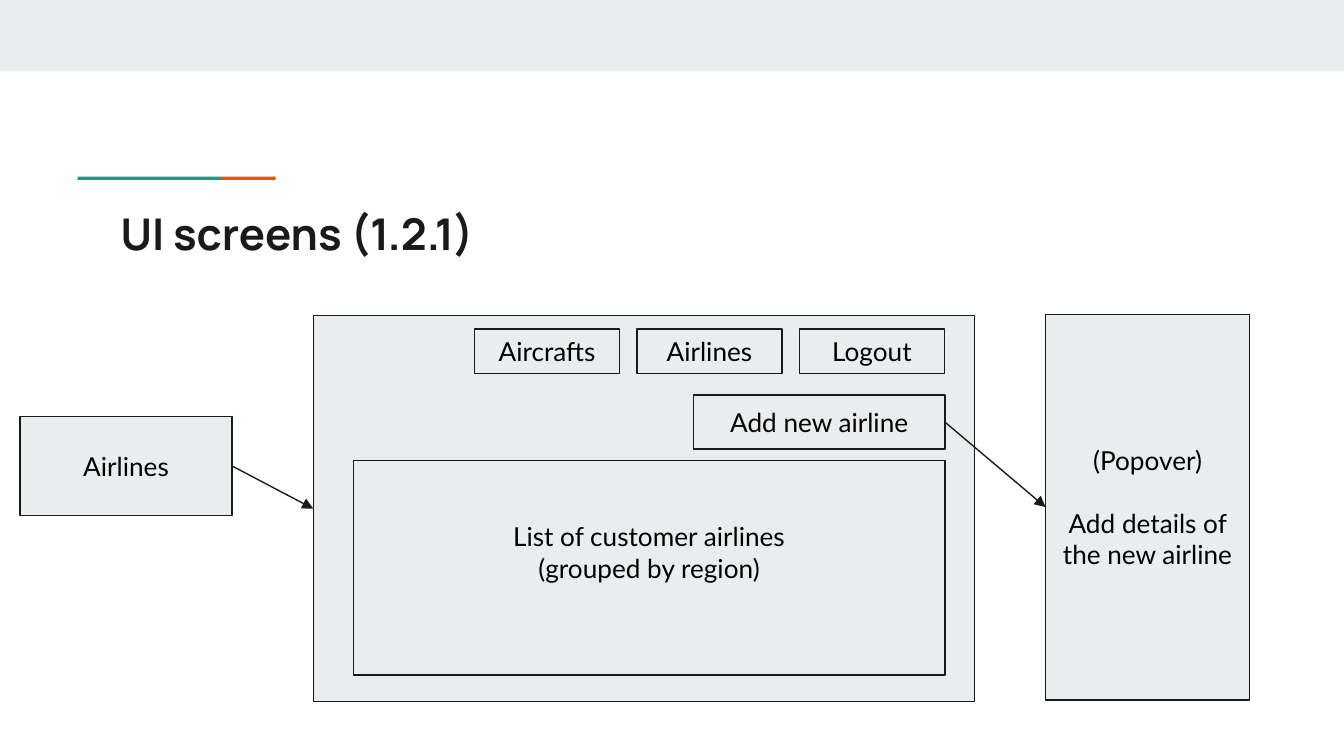
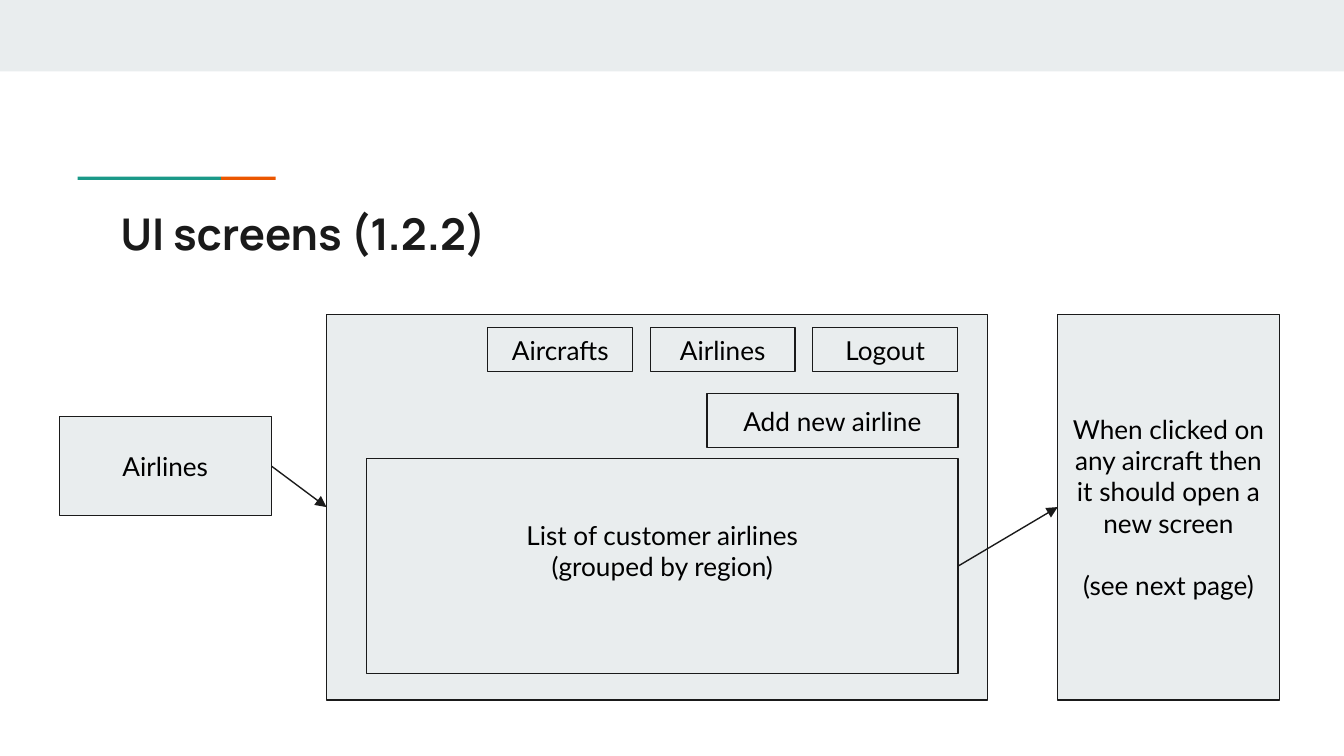
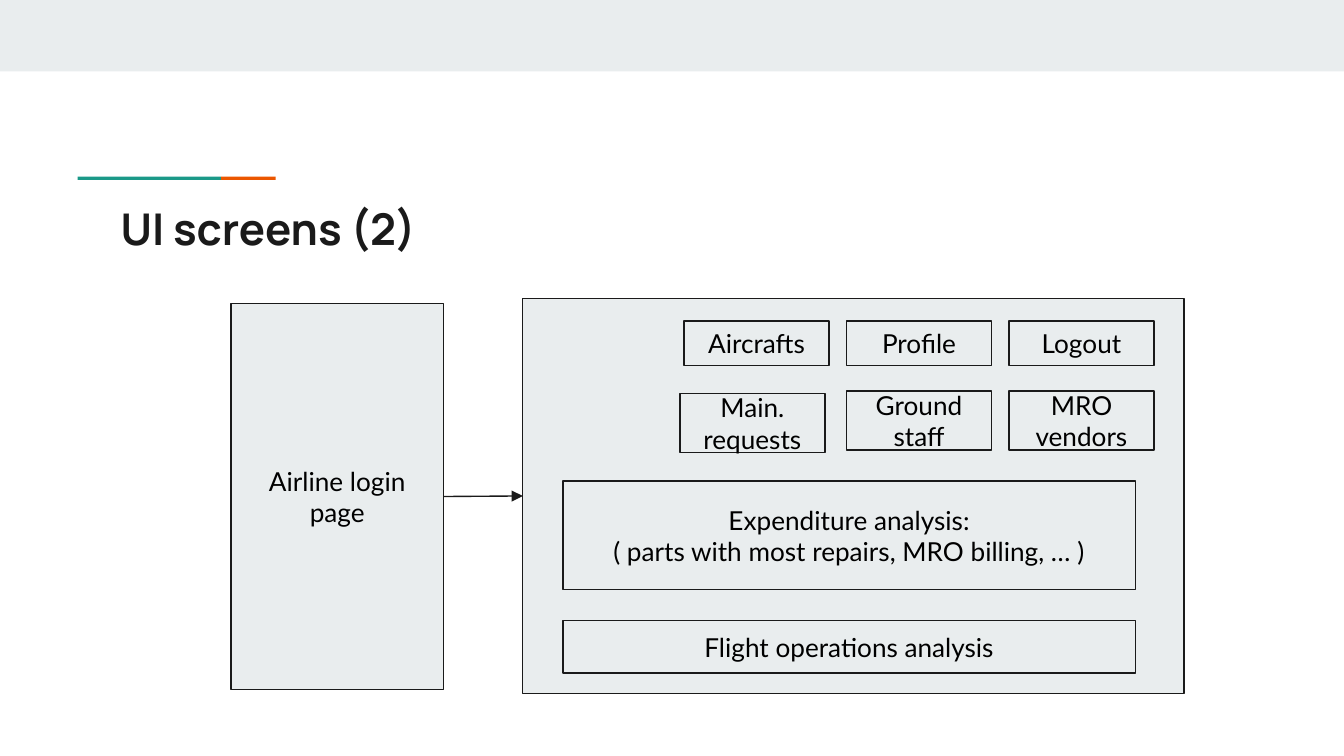
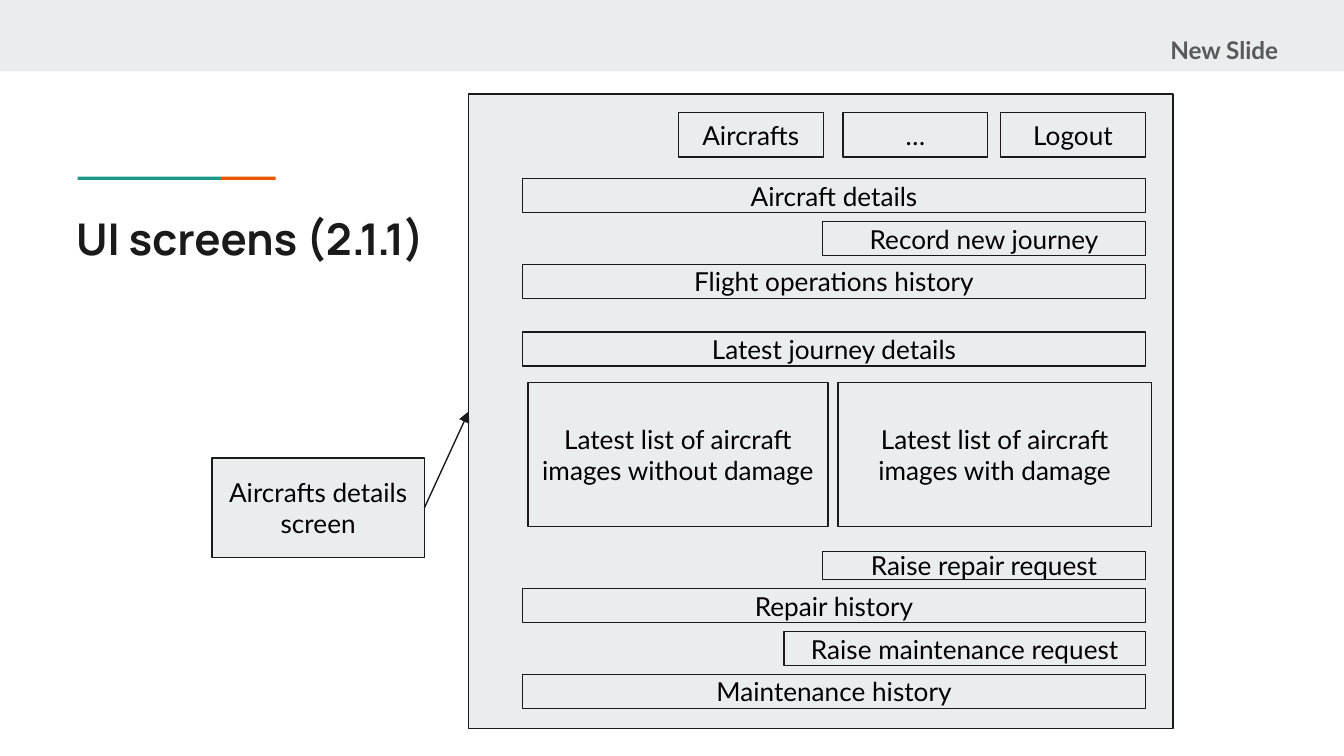
from dataclasses import dataclass

from lxml.etree import SubElement
from pptx import Presentation
from pptx.dml.color import RGBColor
from pptx.enum.shapes import MSO_CONNECTOR, MSO_SHAPE
from pptx.enum.text import MSO_ANCHOR, PP_ALIGN
from pptx.oxml.ns import qn
from pptx.util import Cm, Pt


@dataclass(frozen=True)
class Theme:
    panel: str = "E9EDEE"
    ink: str = "1A1A1A"
    text: str = "000000"
    muted: str = "595959"
    green: str = "1A9988"
    orange: str = "EB5600"
    title_font: str = "Manrope"
    body_font: str = "Lato"
    title_size: float = 23.4
    body_size: float = 14
    tag_size: float = 13
    line_width: float = 0.75
    inset: float = 0.25
    blank_line: float = 16.8


theme = Theme()


def write_text(shape, text, *, font=theme.body_font, size=theme.body_size,
               color=theme.text, bold=False, align=PP_ALIGN.CENTER,
               anchor=MSO_ANCHOR.MIDDLE, gap=0, bottom=theme.inset):
    """Write one paragraph per line; gap is the space between paragraphs."""
    frame = shape.text_frame
    frame.word_wrap = True
    frame.vertical_anchor = anchor
    frame.margin_left = frame.margin_right = frame.margin_top = Cm(theme.inset)
    frame.margin_bottom = Cm(bottom)
    frame.text = text
    for index, paragraph in enumerate(frame.paragraphs):
        paragraph.alignment = align
        paragraph.space_before = Pt(gap if index else 0)
        paragraph.font.name = font
        paragraph.font.size = Pt(size)
        paragraph.font.bold = bold
        paragraph.font.color.rgb = RGBColor.from_string(color)


def add_box(slide, left, top, width, height, text="", *,
            fill=theme.panel, outlined=True, **text_format):
    """Add a filled rectangle, in centimetres, with optional text."""
    shape = slide.shapes.add_shape(
        MSO_SHAPE.RECTANGLE, Cm(left), Cm(top), Cm(width), Cm(height))
    shape.shadow.inherit = False
    shape.fill.solid()
    shape.fill.fore_color.rgb = RGBColor.from_string(fill)
    if outlined:
        shape.line.color.rgb = RGBColor.from_string(theme.ink)
        shape.line.width = Pt(theme.line_width)
    else:
        shape.line.fill.background()
    if text:
        write_text(shape, text, **text_format)
    return shape


presentation = Presentation()
presentation.slide_width = Cm(25.4)
presentation.slide_height = Cm(14.29)
blank_layout = presentation.slide_layouts[6]

# Shared parts: band, accent line and title
slides = []
for number, left, top in [("1.2.1", 2.03, 3.66), ("1.2.2", 2.03, 3.66),
                          ("2", 2.03, 3.56), ("2.1.1", 1.19, 3.76)]:
    slide = presentation.slides.add_slide(blank_layout)
    add_box(slide, 0, 0, 25.4, 1.35, outlined=False)
    add_box(slide, 1.47, 3.34, 2.71, 0.06, fill=theme.green, outlined=False)
    add_box(slide, 4.18, 3.34, 1.03, 0.06, fill=theme.orange, outlined=False)
    title = slide.shapes.add_textbox(Cm(left), Cm(top), Cm(21.36), Cm(1.5))
    write_text(title, f"UI screens ({number})", font=theme.title_font,
               size=theme.title_size, color=theme.ink, bold=True,
               align=PP_ALIGN.LEFT, anchor=MSO_ANCHOR.TOP)
    slides.append(slide)

button_width, button_height, button_step = 2.74, 0.84, 3.07
entry_width, entry_height = 4.01, 1.88
screen_width, screen_height = 12.5, 7.29
arrows = []  # (slide, source box, target box)

# Slides 1 and 2: airlines screen and what its controls open
airline_screens = [
    (slides[0], 0.38, 5.92, 5.97, "button", 19.76, 3.86,
     "(Popover)\nAdd details of the new airline"),
    (slides[1], 1.12, 6.17, 5.94, "list", 19.99, 4.19,
     "When clicked on any aircraft then it should open a new screen\n"
     "(see next page)"),
]
for (slide, entry_left, left, top, source, result_left, result_width,
     result_text) in airline_screens:
    entry = add_box(slide, entry_left, 7.87, entry_width, entry_height, "Airlines")
    screen = add_box(slide, left, top, screen_width, screen_height)
    for column, label in enumerate(["Aircrafts", "Airlines", "Logout"]):
        add_box(slide, left + 3.05 + column * button_step, top + 0.25,
                button_width, button_height, label)
    controls = {
        "list": add_box(slide, left + 0.76, top + 2.73, 11.18, 4.06,
                        "List of customer airlines\n(grouped by region)",
                        bottom=theme.inset + 0.59),
        "button": add_box(slide, left + 7.19, top + 1.5, 4.75, 1.02,
                          "Add new airline"),
    }
    result = add_box(slide, result_left, 5.94, result_width, screen_height,
                     result_text, gap=theme.blank_line)
    arrows += [(slide, entry, screen), (slide, controls[source], result)]

# Slide 3: airline login and its dashboard
slide = slides[2]
login = add_box(slide, 4.37, 5.74, entry_width, screen_height, "Airline login page")
dashboard = add_box(slide, 9.88, 5.64, screen_width, 7.47)
for column, label in enumerate(["Aircrafts", "Profile", "Logout"]):
    add_box(slide, 12.93 + column * button_step, 6.07,
            button_width, button_height, label)
for label, left, top in [("Main. requests", 12.85, 7.44),
                         ("Ground staff", 16, 7.39),
                         ("MRO vendors", 19.07, 7.39)]:
    add_box(slide, left, top, button_width, 1.12, label)
add_box(slide, 10.64, 9.09, 10.82, 2.06,
        "Expenditure analysis:\n( parts with most repairs, MRO billing, … )")
add_box(slide, 10.64, 11.73, 10.82, 0.99, "Flight operations analysis")
arrows.append((slide, login, dashboard))

# Slide 4: aircraft details screen
slide = slides[3]
entry = add_box(slide, 4.01, 8.66, entry_width, entry_height,
                "Aircrafts details screen")
screen = add_box(slide, 8.86, 1.78, 13.31, 11.99)
for label, left in [("Aircrafts", 12.82), ("…", 15.93), ("Logout", 18.91)]:
    add_box(slide, left, 2.13, button_width, button_height, label)
tag = slide.shapes.add_textbox(Cm(21.87), Cm(0.41), Cm(2.74), Cm(0.84))
write_text(tag, "New Slide", size=theme.tag_size, color=theme.muted, bold=True,
           align=PP_ALIGN.LEFT, anchor=MSO_ANCHOR.TOP)

# Rows share one right edge
row_right = 21.65
for label, top, width, height in [
    ("Aircraft details", 3.38, 11.77, 0.64),
    ("Record new journey", 4.19, 6.1, 0.64),
    ("Flight operations history", 5, 11.77, 0.64),
    ("Latest journey details", 6.28, 11.77, 0.64),
    ("Raise repair request", 10.43, 6.1, 0.52),
    ("Repair history", 11.13, 11.77, 0.64),
    ("Raise maintenance request", 11.94, 6.83, 0.64),
    ("Maintenance history", 12.75, 11.77, 0.64),
]:
    add_box(slide, row_right - width, top, width, height, label)
for condition, left, width in [("without", 9.98, 5.67), ("with", 15.84, 5.92)]:
    add_box(slide, left, 7.23, width, 2.72,
            f"Latest list of aircraft images {condition} damage")
arrows.append((slide, entry, screen))

# Arrows run from the right side of a box to the left side of the next
left_side, right_side = 1, 3
for slide, source, target in arrows:
    arrow = slide.shapes.add_connector(MSO_CONNECTOR.STRAIGHT, 0, 0, 0, 0)
    arrow.begin_connect(source, right_side)
    arrow.end_connect(target, left_side)
    arrow.line.color.rgb = RGBColor.from_string(theme.ink)
    arrow.line.width = Pt(theme.line_width)
    SubElement(arrow.line._get_or_add_ln(), qn("a:tailEnd"), type="triangle")
    SubElement(arrow._element.spPr, qn("a:effectLst"))

presentation.save("out.pptx")
